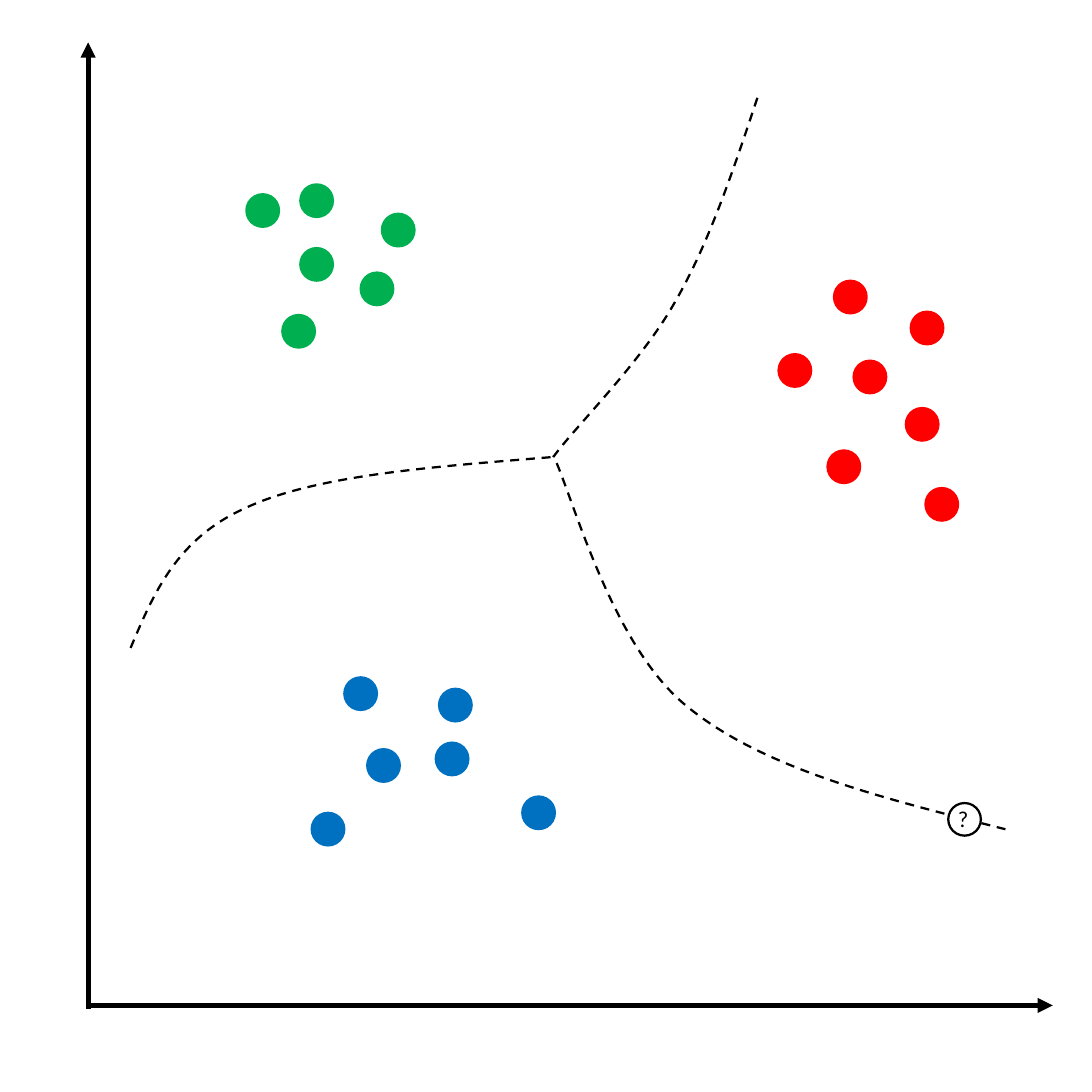
from typing import NamedTuple

from lxml import etree
from pptx import Presentation, util as u
from pptx.dml.color import RGBColor
from pptx.enum import dml, shapes, text
from pptx.oxml.ns import qn

# The square slide is a grid of 669 columns and rows, each 0.01 inch
GRID = 669
CELL = u.Inches(0.01)
DOT = 20
BLACK, WHITE = "000000", "FFFFFF"

Point = tuple[int, int]


class Axis(NamedTuple):
    start: Point
    tip: Point


class Cluster(NamedTuple):
    color: str
    dots: list[Point]  # top left corners


class Boundary(NamedTuple):
    start: Point
    curve: list[Point]  # three points for each cubic segment


AXES = [Axis((54, 618), (54, 26)), Axis((54, 616), (645, 616))]

CLUSTERS = [
    Cluster("00B050", [(151, 119), (184, 113), (184, 152), (173, 193),
                       (221, 167), (234, 131)]),
    Cluster("0070C0", [(211, 415), (225, 459), (269, 422), (267, 455),
                       (191, 498), (320, 488)]),
    Cluster("FF0000", [(558, 191), (477, 217), (555, 250), (523, 221),
                       (567, 299), (511, 172), (507, 276)]),
]

BOUNDARIES = [
    Boundary((80, 397), [(94, 364), (108, 330), (151, 311),
                         (194, 291), (266, 286), (339, 280)]),
    Boundary((464, 60), [(449, 105), (434, 150), (413, 186),
                         (392, 223), (351, 263), (339, 280)]),
    Boundary((616, 508), [(541, 489), (467, 471), (420, 432),
                          (374, 394), (351, 304), (339, 279)]),
]


def rgb(color: str) -> RGBColor:
    return RGBColor.from_string(color)


def cells(*counts: int) -> list[int]:
    return [n * CELL for n in counts]


def style_line(sp, color: str, width: float) -> None:
    sp.line.color.rgb = rgb(color)
    sp.line.width = u.Pt(width)


def add_axis(slide, axis: Axis) -> None:
    sp = slide.shapes.add_connector(
        shapes.MSO_CONNECTOR.STRAIGHT, *cells(*axis.start, *axis.tip))
    style_line(sp, BLACK, 2.25)
    etree.SubElement(sp.line._get_or_add_ln(), qn("a:tailEnd"), type="triangle")
    etree.SubElement(sp._element.spPr, qn("a:effectLst"))


def add_dot(slide, corner: Point, fill: str, outline: str) -> None:
    sp = slide.shapes.add_shape(
        shapes.MSO_SHAPE.OVAL, *cells(*corner, DOT, DOT))
    sp.shadow.inherit = False
    sp.fill.solid()
    sp.fill.fore_color.rgb = rgb(fill)
    style_line(sp, outline, 1)


def add_boundary(slide, boundary: Boundary) -> None:
    builder = slide.shapes.build_freeform(*boundary.start, scale=CELL)
    builder.add_line_segments(boundary.curve, close=False)
    sp = builder.convert_to_shape()
    sp.shadow.inherit = False
    sp.fill.background()
    style_line(sp, BLACK, 1)
    sp.line.dash_style = dml.MSO_LINE.DASH

    # Turn every three straight segments into one cubic curve
    outline = sp._element.find(".//" + qn("a:path"))
    segments = outline.findall(qn("a:lnTo"))
    for i in range(0, len(segments), 3):
        cubic = etree.SubElement(outline, qn("a:cubicBezTo"))
        for segment in segments[i:i + 3]:
            cubic.append(segment[0])
            outline.remove(segment)


def add_label(slide, label: str, box: tuple[int, int, int, int]) -> None:
    tf = slide.shapes.add_textbox(*cells(*box)).text_frame
    tf.word_wrap = True
    tf.auto_size = text.MSO_AUTO_SIZE.SHAPE_TO_FIT_TEXT
    p = tf.paragraphs[0]
    p.text = label
    p.font.name = "Calibri"
    p.font.size = u.Pt(10)
    p.font.color.rgb = rgb(BLACK)


def main() -> None:
    prs = Presentation()
    prs.slide_width = prs.slide_height = GRID * CELL
    slide = prs.slides.add_slide(prs.slide_layouts[6])

    # Axes
    for axis in AXES:
        add_axis(slide, axis)

    # Clustered points
    for cluster in CLUSTERS:
        for corner in cluster.dots:
            add_dot(slide, corner, cluster.color, cluster.color)

    # Decision boundaries
    for boundary in BOUNDARIES:
        add_boundary(slide, boundary)

    # Unclassified point
    add_dot(slide, (581, 492), WHITE, BLACK)
    add_label(slide, "?", (577, 488, 23, 27))

    prs.save("out.pptx")


if __name__ == "__main__":
    main()
